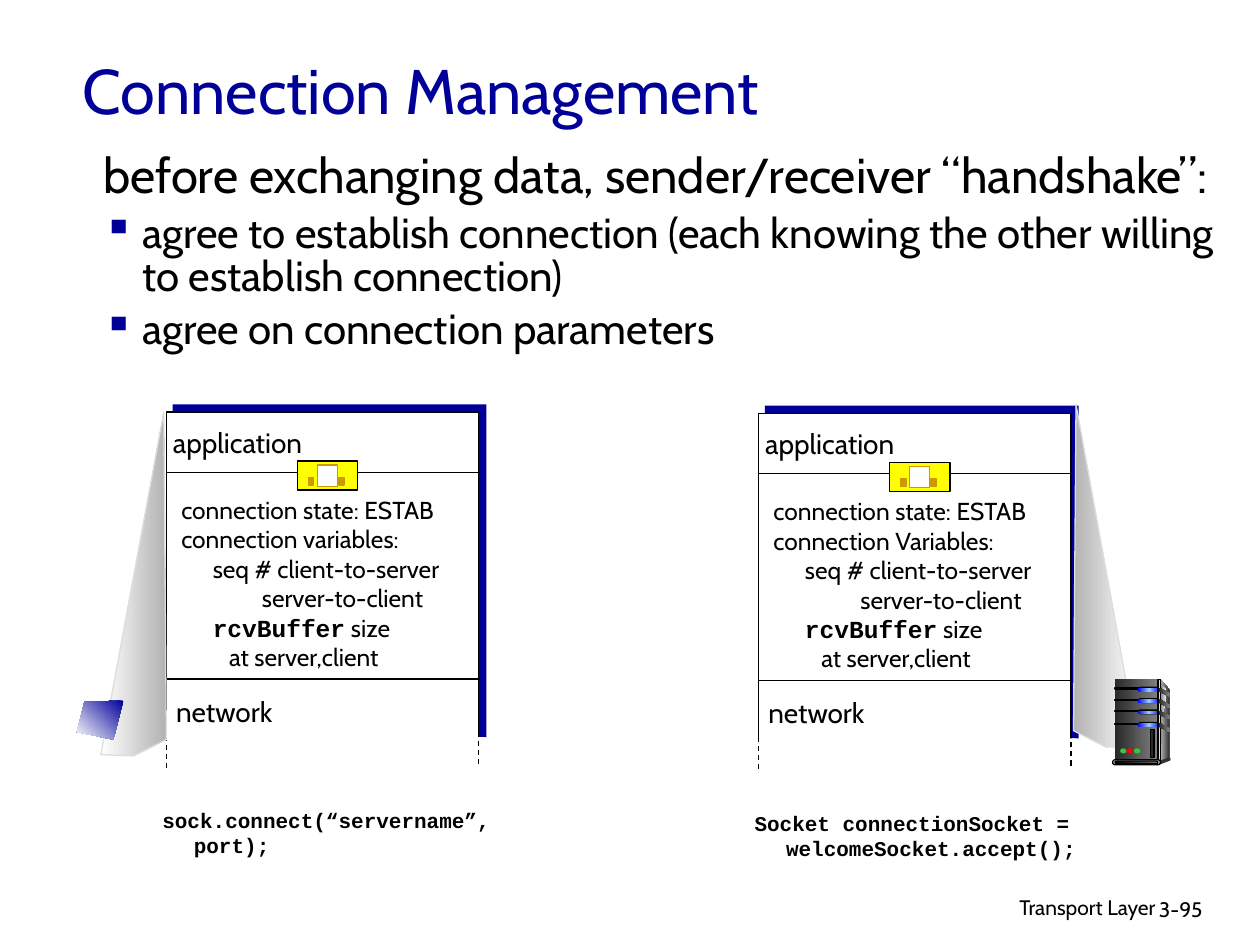
"""Build the Connection Management slide: two hosts that agree on a connection."""
from copy import deepcopy

from lxml.etree import SubElement
from pptx import Presentation
from pptx.dml.color import RGBColor
from pptx.enum.dml import MSO_LINE
from pptx.enum.shapes import MSO_CONNECTOR, MSO_SHAPE as SHAPE
from pptx.enum.text import MSO_ANCHOR as ANCHOR, PP_ALIGN as ALIGN
from pptx.oxml.ns import qn
from pptx.util import Pt

PX = 9144
SANS, MONO = "Cabin", "Courier New"
NAVY, BLACK, WHITE, GOLD = "000099", "000000", "FFFFFF", "CC9900"
DARK, GRAY, LIGHT = "292929", "808080", "DDDDDD"
METAL, STEEL = (DARK, GRAY), ("333333", LIGHT, "333333")
GLOW = ("0000FF", "99CCFF", "0000FF")

TITLE = "Connection Management"
INTRO = "before exchanging data, sender/receiver “handshake”:"
POINTS = [
    "agree to establish connection (each knowing the other willing to establish connection)",
    "agree on connection parameters",
]
HOSTS = [
    {"dx": 0, "dy": 0, "variables": "connection variables:", "reply_indent": 64,
     "code": "sock.connect(“servername”, port);", "code_top": 636,
     "beam": [(80, 599), (130, 327), (132, 587), (106, 600)], "shades": (WHITE, "B2B2B2")},
    {"dx": 470, "dy": 1, "variables": "connection Variables:", "reply_indent": 69,
     "code": "Socket connectionSocket = welcomeSocket.accept();", "code_top": 638,
     "beam": [(903, 592), (854, 321), (852, 580), (878, 593)], "shades": ("B2B2B2", WHITE)},
]
LAPTOP = [(98, 556), (67, 557), (61, 581), (90, 587)]
SERVER_SIDE = [(921, 539), (928, 547), (928, 601), (919, 604)]
SERVER_EDGE = [(921, 543), (926, 548), (922, 575), (921, 602)]
SERVER_FOOT = [(920, 604), (920, 607), (928, 604), (928, 601)]
SLAT = [(0, 0), (8, 4), (8, 7), (0, 3)]
LIGHTS = ["33CC33", "FF0000", "33CC33"]


def color(value):
    return RGBColor.from_string(value)


def paint(shape, fill, line=None, angle=0):
    shape.shadow.inherit = False
    if isinstance(fill, tuple):
        shape.fill.gradient()
        shape.fill.gradient_angle = angle
        stop_list = shape.element.spPr.find(".//" + qn("a:gsLst"))
        for _ in fill[2:]:
            stop_list.append(deepcopy(stop_list[0]))
        for index, (stop, value) in enumerate(zip(shape.fill.gradient_stops, fill)):
            stop.color.rgb = color(value)
            stop.position = index / (len(fill) - 1)
    else:
        shape.fill.solid()
        shape.fill.fore_color.rgb = color(fill)
    if line:
        shape.line.color.rgb = color(line)
        shape.line.width = Pt(0.75)
    else:
        shape.line.fill.background()


def add_shape(slide, box, fill, line=None, kind=SHAPE.RECTANGLE):
    shape = slide.shapes.add_shape(kind, *(value * PX for value in box))
    if kind == SHAPE.ROUNDED_RECTANGLE:
        shape.adjustments[0] = 0.5
    paint(shape, fill, line)


def add_outline(slide, points, fill, line=None, angle=0):
    builder = slide.shapes.build_freeform(*points[0], scale=PX)
    builder.add_line_segments(points[1:], close=True)
    paint(builder.convert_to_shape(), fill, line, angle)


def add_line(slide, start, end, dashed=False):
    points = (value * PX for value in (*start, *end))
    connector = slide.shapes.add_connector(MSO_CONNECTOR.STRAIGHT, *points)
    connector.line.color.rgb = color(BLACK)
    connector.line.width = Pt(0.75)
    if dashed:
        connector.line.dash_style = MSO_LINE.DASH
    SubElement(connector.element.spPr, qn("a:effectLst"))


def format_run(run, size, font=SANS, bold=False, ink=BLACK):
    run.font.size = Pt(size)
    run.font.name = font
    run.font.bold = bold
    run.font.color.rgb = color(ink)


def set_indent(paragraph, left, first=0):
    properties = paragraph._p.get_or_add_pPr()
    properties.set("marL", str(left * PX))
    properties.set("indent", str(first * PX))
    return properties


def add_text(slide, box, lines, size, align=ALIGN.LEFT, wrap=True, anchor=ANCHOR.TOP, **style):
    text_box = slide.shapes.add_textbox(*(value * PX for value in box))
    frame = text_box.text_frame
    frame.text = "\n".join(lines)
    frame.word_wrap = wrap
    frame.vertical_anchor = anchor
    for paragraph in frame.paragraphs:
        paragraph.alignment = align
        for run in paragraph.runs:
            format_run(run, size, **style)
    return frame.paragraphs


def add_body(slide):
    paragraphs = add_text(slide, (72, 117, 912, 239), [INTRO, *POINTS], 24)
    for paragraph in paragraphs:
        paragraph.line_spacing = 0.85
        set_indent(paragraph, 31, -31)
    paragraphs[0].runs[0].font.size = Pt(28)
    for paragraph in paragraphs[1:]:
        paragraph.space_before = Pt(6)
        properties = paragraph._p.get_or_add_pPr()
        bullet_color = SubElement(properties, qn("a:buClr"))
        SubElement(bullet_color, qn("a:srgbClr"), val=NAVY)
        SubElement(properties, qn("a:buChar"), char="▪")


def add_host(slide, host):
    dx, dy = host["dx"], host["dy"]

    def at(left, top, *size):
        return (left + dx, top + dy, *size)

    add_shape(slide, at(137, 321, 249, 264), NAVY)
    add_shape(slide, at(132, 327, 248, 270), WHITE, BLACK)
    for top in (375, 539):
        add_line(slide, at(132, top), at(381, top))

    lines = ["connection state: ESTAB", host["variables"], "seq # client-to-server",
             "server-to-client", "rcvBuffer", "at server,client"]
    state = add_text(slide, at(134, 388, 255, 174), lines, 14)
    for paragraph, left in zip(state[2:], (25, host["reply_indent"], 25, 38)):
        set_indent(paragraph, left)
    format_run(state[4].runs[0], 14, MONO, True)
    size_run = state[4].add_run()
    size_run.text = " size"
    format_run(size_run, 14)

    add_shape(slide, at(236, 366, 48, 23), "FFFF00", BLACK)
    add_shape(slide, at(252, 369, 16, 17), WHITE, GOLD)
    for left in (245, 269):
        add_shape(slide, at(left, 379, 4, 6), GOLD, GOLD)
    add_text(slide, at(121, 333, 135, 37), ["application"], 16, ALIGN.CENTER, False)
    add_text(slide, at(125, 546, 106, 37), ["network"], 16, ALIGN.CENTER, False)

    add_shape(slide, at(129, 585, 255, 20), WHITE)
    add_line(slide, at(132, 584), at(132, 610), dashed=True)
    add_line(slide, at(380, 581), at(380, 607), dashed=True)
    add_outline(slide, host["beam"], host["shades"], LIGHT)
    code_box = (119 + dx, host["code_top"], 316, 50)
    code = add_text(slide, code_box, [host["code"]], 12, font=MONO, bold=True)
    set_indent(code[0], 25, -25)


def add_server(slide):
    pill = SHAPE.ROUNDED_RECTANGLE
    add_outline(slide, SERVER_SIDE, (LIGHT, "333333"))
    add_shape(slide, (885, 539, 34, 65), METAL)
    add_outline(slide, SERVER_EDGE, (GRAY, "F8F8F8"))
    drive_tops = [545 + 28 * index // 3 for index in range(4)]
    for top in drive_tops:
        add_shape(slide, (885, top + 1, 19, 1), BLACK, BLACK)
        add_shape(slide, (903, top, 19, 4), BLACK, kind=pill)
        add_shape(slide, (903, top + 1, 18, 3), GLOW, kind=pill)
    add_shape(slide, (919, 539, 2, 65), STEEL, BLACK)
    for top in drive_tops:
        add_outline(slide, [(920 + x, top + 1 + y) for x, y in SLAT], METAL)
    add_shape(slide, (927, 601, 2, 3), "333333", kind=SHAPE.OVAL)
    add_outline(slide, SERVER_FOOT, "333333")
    add_shape(slide, (883, 603, 38, 4), LIGHT, BLACK, pill)
    add_shape(slide, (885, 604, 34, 2), (BLACK, GRAY), BLACK, pill)
    for index, light in enumerate(LIGHTS):
        add_shape(slide, (889 + 11 * index // 2, 594, 5, 4), light, kind=SHAPE.OVAL)
    add_shape(slide, (913, 579, 3, 22), DARK, BLACK)


def main():
    presentation = Presentation()
    presentation.slide_width, presentation.slide_height = 1000 * PX, 750 * PX
    slide = presentation.slides.add_slide(presentation.slide_layouts[6])
    add_text(slide, (610, 705, 317, 31), ["Transport Layer"], 12, ALIGN.RIGHT)
    add_text(slide, (910, 707, 74, 30), ["3-95"], 12)
    add_text(slide, (56, 21, 850, 100), [TITLE], 36, anchor=ANCHOR.MIDDLE, ink=NAVY)
    add_body(slide)
    for host in HOSTS:
        add_host(slide, host)
    add_outline(slide, LAPTOP, (NAVY, WHITE), angle=225)
    add_server(slide)
    presentation.save("out.pptx")


if __name__ == "__main__":
    main()
